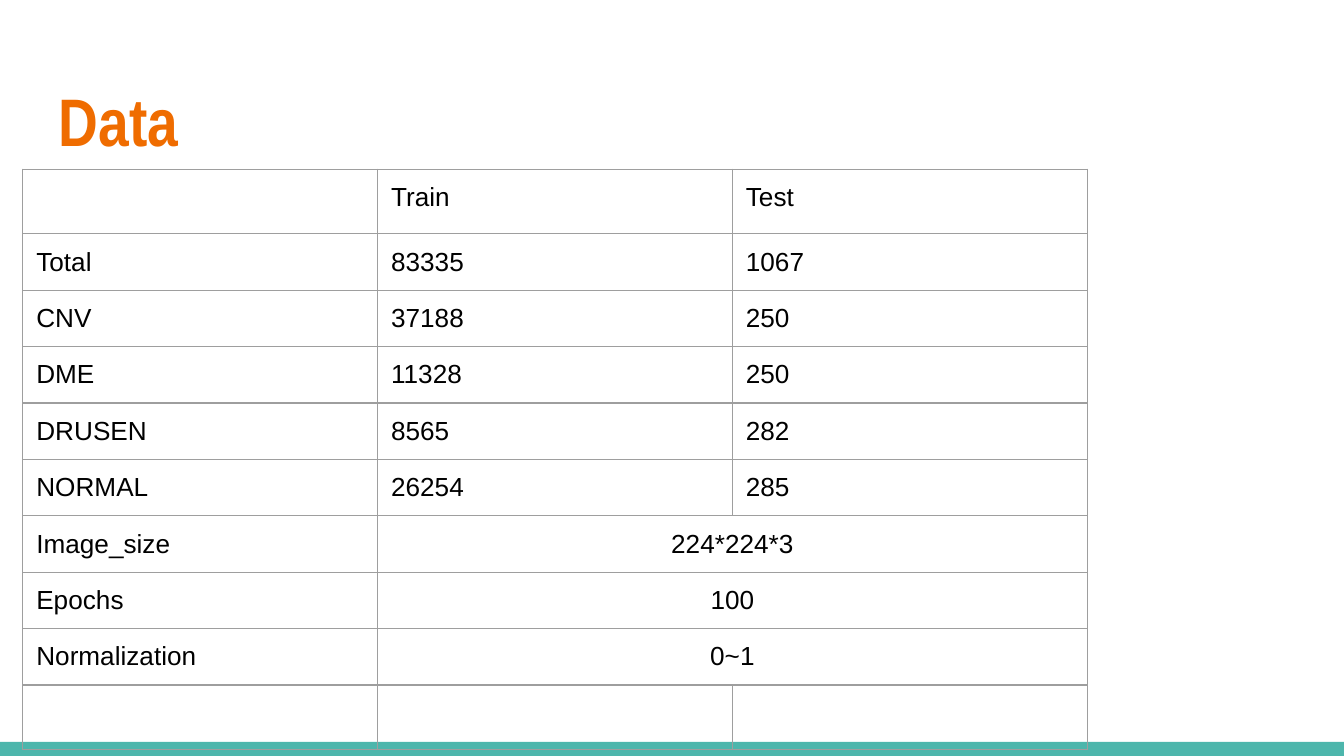
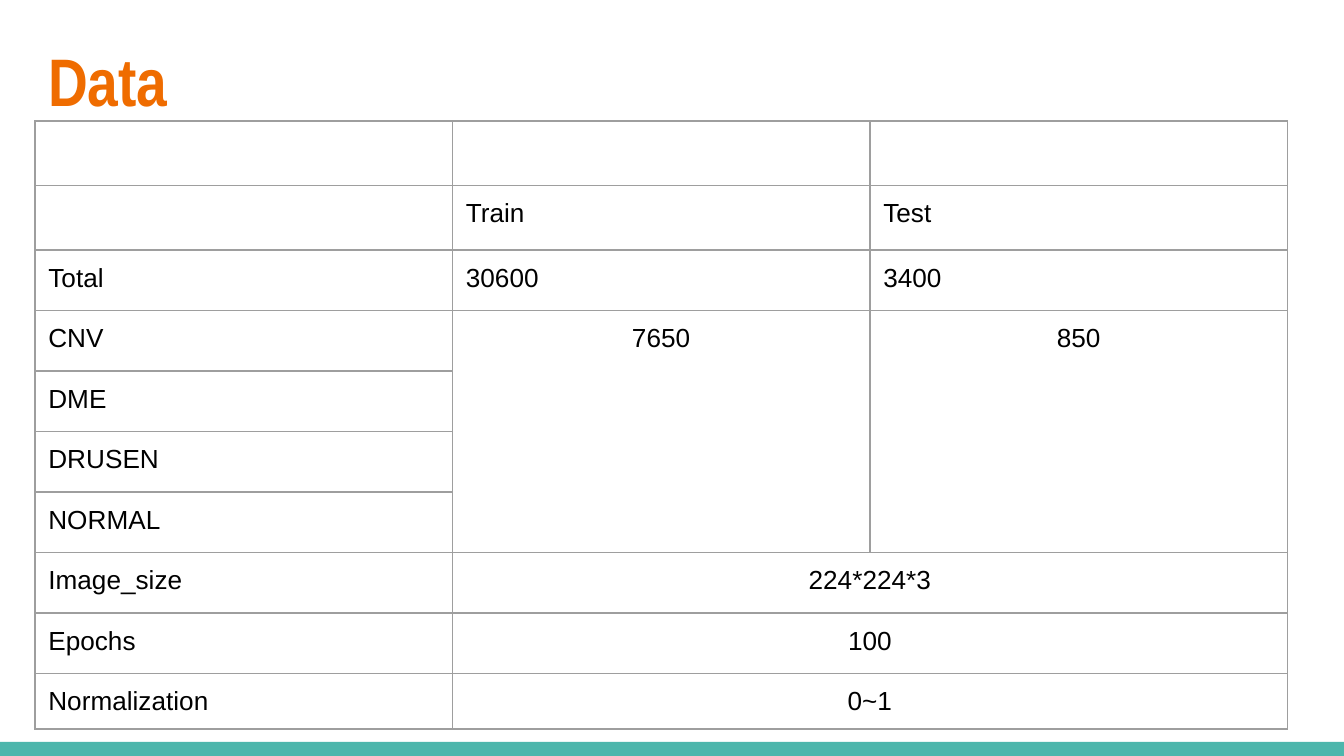
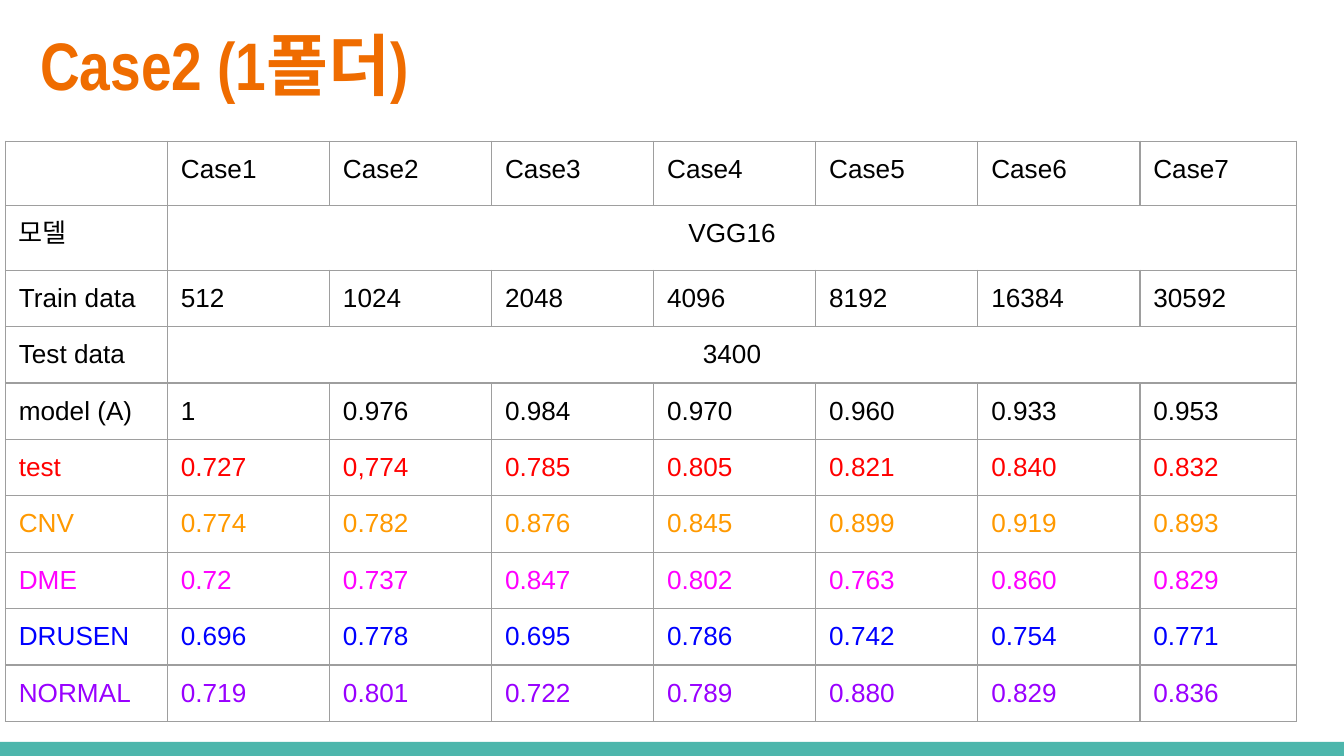
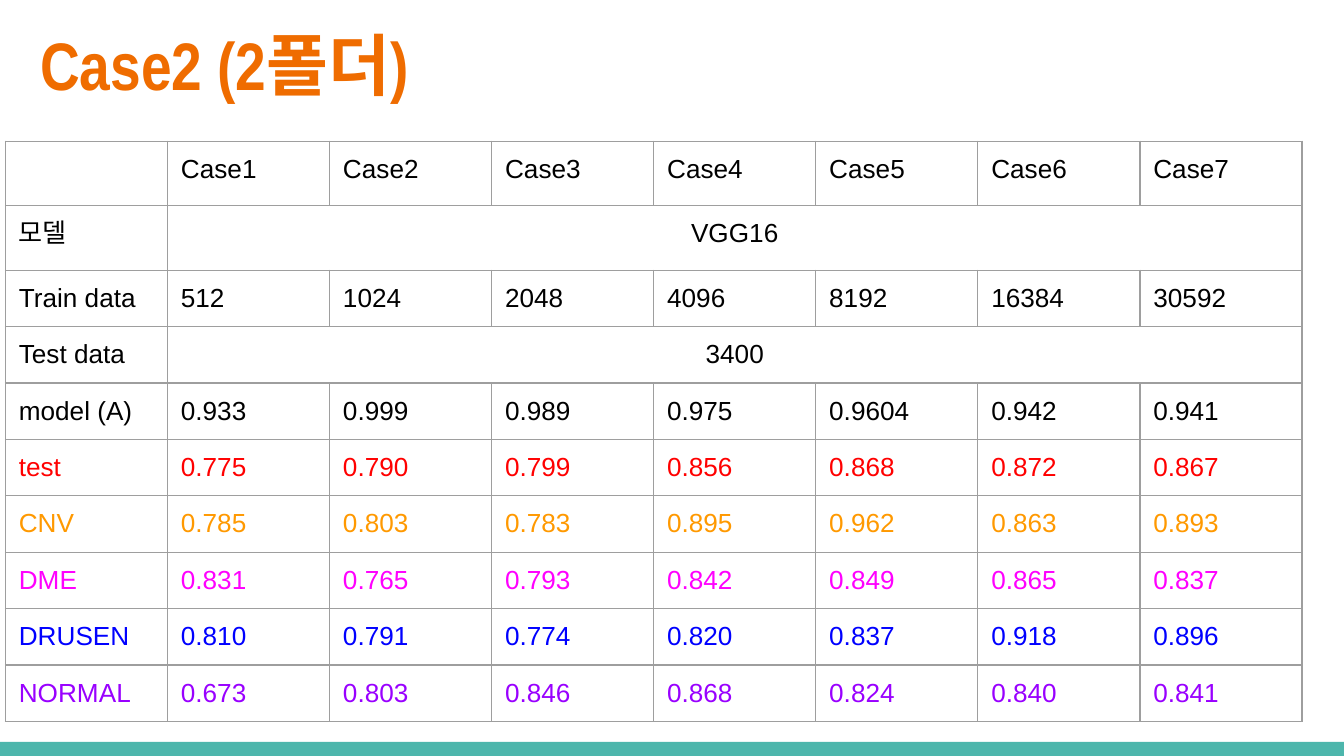
from lxml import etree
from pptx import Presentation
from pptx.dml.color import RGBColor
from pptx.enum.shapes import MSO_SHAPE
from pptx.enum.text import PP_ALIGN
from pptx.oxml.ns import qn
from pptx.util import Inches, Pt

COLORS = {
    "title": "EF6C00", "band": "4DB6AC", "border": "9E9E9E", "text": "000000",
    "test": "FF0000", "CNV": "FF9900", "DME": "FF00FF",
    "DRUSEN": "0000FF", "NORMAL": "9900FF",
}


def style_text(text_frame, font_name, size, color, bold=False):
    for paragraph in text_frame.paragraphs:
        for run in paragraph.runs:
            run.font.name = font_name
            run.font.size = Pt(size)
            run.font.bold = bold
            run.font.color.rgb = RGBColor.from_string(color)
            for script_tag in ("a:ea", "a:cs"):
                etree.SubElement(run.font._element, qn(script_tag), typeface=font_name)


def add_borders(cell):
    properties = cell._tc.get_or_add_tcPr()
    for position, side in enumerate(("lnL", "lnR", "lnT", "lnB")):
        line = etree.Element(qn(f"a:{side}"), w=str(Pt(0.75)))
        fill = etree.SubElement(line, qn("a:solidFill"))
        etree.SubElement(fill, qn("a:srgbClr"), val=COLORS["border"])
        properties.insert(position, line)


# Rows shared by the tables; a row with a single value spans all value columns
settings_rows = [["Image_size", "224*224*3"], ["Epochs", "100"], ["Normalization", "0~1"]]
case_rows = [
    ["", *[f"Case{number}" for number in range(1, 8)]],
    ["모델", "VGG16"],
    ["Train data", "512", "1024", "2048", "4096", "8192", "16384", "30592"],
    ["Test data", "3400"],
]
score_labels = ["model (A)", "test", "CNV", "DME", "DRUSEN", "NORMAL"]
folder_scores = [
    [
        "1 0.976 0.984 0.970 0.960 0.933 0.953",
        "0.727 0,774 0.785 0.805 0.821 0.840 0.832",
        "0.774 0.782 0.876 0.845 0.899 0.919 0.893",
        "0.72 0.737 0.847 0.802 0.763 0.860 0.829",
        "0.696 0.778 0.695 0.786 0.742 0.754 0.771",
        "0.719 0.801 0.722 0.789 0.880 0.829 0.836",
    ],
    [
        "0.933 0.999 0.989 0.975 0.9604 0.942 0.941",
        "0.775 0.790 0.799 0.856 0.868 0.872 0.867",
        "0.785 0.803 0.783 0.895 0.962 0.863 0.893",
        "0.831 0.765 0.793 0.842 0.849 0.865 0.837",
        "0.810 0.791 0.774 0.820 0.837 0.918 0.896",
        "0.673 0.803 0.846 0.868 0.824 0.840 0.841",
    ],
]

# Slide contents: positions are (left, top) in inches
slides = [
    {
        "title": "Data", "title_at": (0.34, 0.49), "table_at": (0.17, 1.26),
        "width": 7.92, "row_height": 0.42,
        "rows": [
            ["", "Train", "Test"],
            ["Total", "83335", "1067"],
            ["CNV", "37188", "250"],
            ["DME", "11328", "250"],
            ["DRUSEN", "8565", "282"],
            ["NORMAL", "26254", "285"],
            *settings_rows,
            ["", "", ""],
        ],
    },
    {
        "title": "Data", "title_at": (0.26, 0.19), "table_at": (0.26, 0.9),
        "width": 9.32, "row_height": 0.45, "special_heights": {9: 0.41},
        "tall_rows": (3, 6),
        "rows": [
            ["", "", ""],
            ["", "Train", "Test"],
            ["Total", "30600", "3400"],
            ["CNV", "7650", "850"],
            ["DME", "", ""],
            ["DRUSEN", "", ""],
            ["NORMAL", "", ""],
            *settings_rows,
        ],
    },
]
for folder, scores in enumerate(folder_scores, start=1):
    slides.append({
        "title": f"Case2 ({folder}폴더)", "title_at": (0.2, 0.07), "table_at": (0.04, 1.05),
        "width": 9.65, "row_height": 0.42, "colored": True,
        "special_heights": {0: 0.43, 1: 0.48},
        "last_column_trim": 0.04 if folder == 1 else 0,
        "rows": case_rows + [[label, *values.split()]
                             for label, values in zip(score_labels, scores)],
    })

presentation = Presentation()
presentation.slide_width = Inches(10)
presentation.slide_height = Inches(10 * 9 / 16)

for content in slides:
    slide = presentation.slides.add_slide(presentation.slide_layouts[6])

    # Bottom band
    band = slide.shapes.add_shape(
        MSO_SHAPE.RECTANGLE, 0, Inches(5.52), presentation.slide_width, Inches(0.11))
    band.shadow.inherit = False
    band.fill.solid()
    band.fill.fore_color.rgb = RGBColor.from_string(COLORS["band"])
    band.line.fill.background()

    # Title
    left, top = content["title_at"]
    title = slide.shapes.add_textbox(Inches(left), Inches(top), Inches(9.32), Inches(0.77))
    frame = title.text_frame
    frame.word_wrap = True
    frame.margin_left = frame.margin_right = Inches(0.1)
    frame.margin_top = frame.margin_bottom = Inches(0.1)
    frame.text = content["title"]
    style_text(frame, "Arial Narrow", 36, COLORS["title"], bold=True)

    # Table grid
    rows = content["rows"]
    column_count = len(rows[0])
    left, top = content["table_at"]
    table = slide.shapes.add_table(
        len(rows), column_count, Inches(left), Inches(top),
        Inches(content["width"]), Inches(content["row_height"] * len(rows))).table
    table.first_row = False
    table.horz_banding = False
    for column in table.columns:
        column.width = Inches(content["width"] / column_count)
    table.columns[column_count - 1].width -= Inches(content.get("last_column_trim", 0))
    special_heights = content.get("special_heights", {})
    for row_index, row in enumerate(table.rows):
        row.height = Inches(special_heights.get(row_index, content["row_height"]))

    # Cell style
    for cell in table.iter_cells():
        cell.fill.background()
        add_borders(cell)
        cell.margin_left = cell.margin_right = cell.margin_top = Inches(0.1)
        cell.margin_bottom = Inches(0.08)

    # Cell text and wide cells
    for row_index, values in enumerate(rows):
        color = COLORS["text"]
        if content.get("colored"):
            color = COLORS.get(values[0], color)
        for column_index, value in enumerate(values):
            if value:
                cell = table.cell(row_index, column_index)
                cell.text_frame.text = value
                style_text(cell.text_frame, "Arial", 14, color)
        if len(values) == 2:
            wide_cell = table.cell(row_index, 1)
            wide_cell.merge(table.cell(row_index, column_count - 1))
            wide_cell.text_frame.paragraphs[0].alignment = PP_ALIGN.CENTER

    # Tall cells
    if "tall_rows" in content:
        first, last = content["tall_rows"]
        for column_index in range(1, column_count):
            tall_cell = table.cell(first, column_index)
            tall_cell.merge(table.cell(last, column_index))
            tall_cell.text_frame.paragraphs[0].alignment = PP_ALIGN.CENTER

presentation.save("out.pptx")
